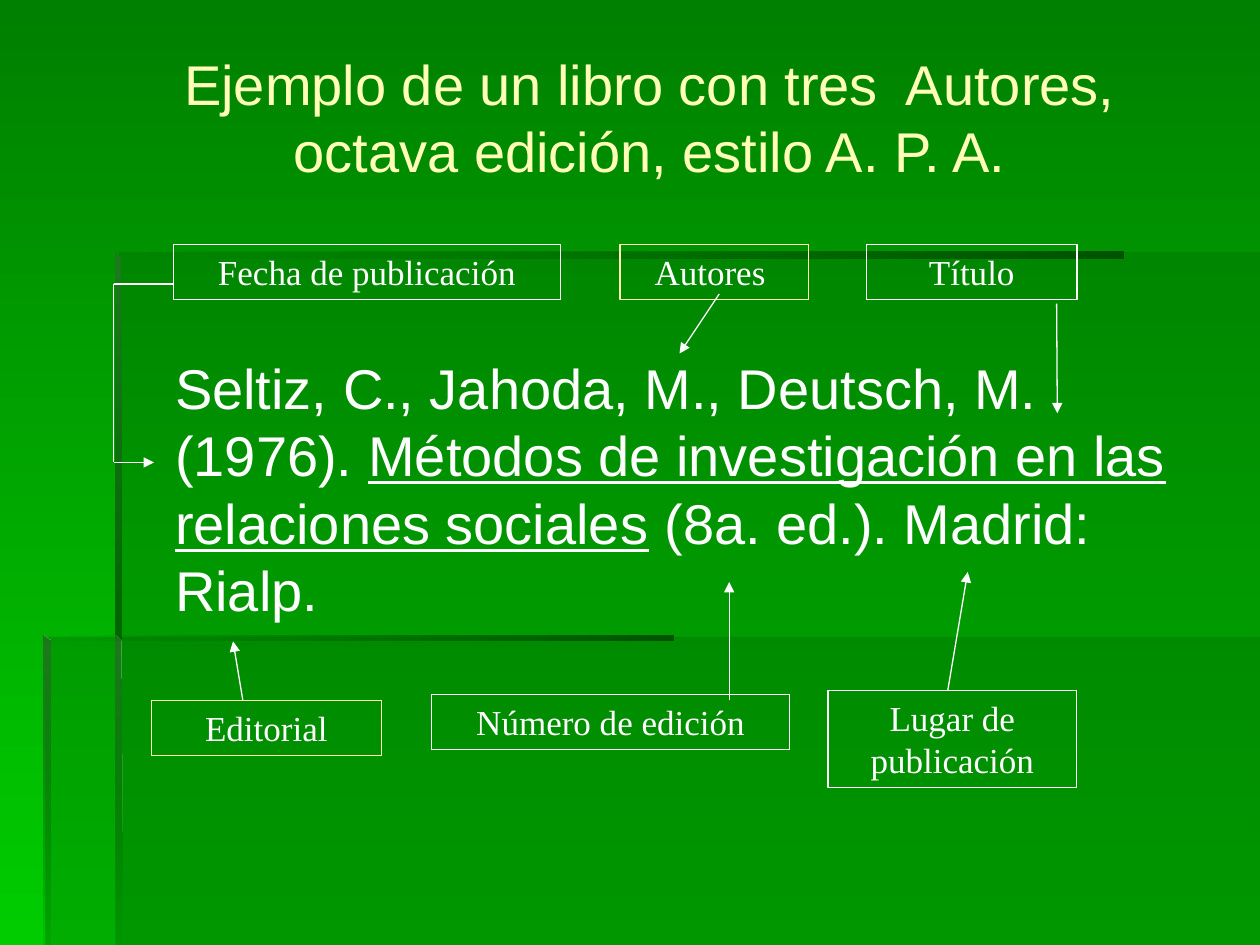
from dataclasses import dataclass

from lxml import etree
from pptx import Presentation
from pptx.dml.color import RGBColor
from pptx.enum import shapes, text
from pptx.oxml import parse_xml
from pptx.oxml.ns import nsdecls, qn
from pptx.util import Pt


@dataclass(frozen=True)
class Theme:
    sans: str = "Arial"
    serif: str = "Times New Roman"
    big: float = 32
    small: float = 20
    gap: float = 1.2  # line pitch of the large text
    white: str = "FFFFFF"
    cream: str = "FFFFB7"
    sky: tuple = (("008000", 100), ("00CC00", 100))
    veil: tuple = (("006600", 30), ("006600", 30))
    bar: tuple = (("005300", 100), ("006600", 0))
    post: tuple = (("1E781E", 100), ("006600", 100))
    fade: tuple = (("1E781E", 100), ("006600", 0))
    haze: tuple = (("1E781E", 100), ("006600", 10))


T = Theme()
WIDE, HIGH = 720, 540
DOWN, LEFT = 90, 180

TITLE = "Ejemplo de un libro con tres  Autores, octava edición, estilo A. P. A."
CITE = [
    ("Seltiz, C., Jahoda, M., Deutsch, M. (1976). ", False),
    ("Métodos de investigación en las relaciones sociales", True),
    (" (8a. ed.). Madrid: Rialp.", False),
]

# outline points, gradient stops, angle
PANELS = [
    ([(66.24, 363.6), (66.24, HIGH), (WIDE, HIGH), (WIDE, 363.6)], T.veil, DOWN),
    ([(67.68, 364.32), (25.92, 364.32), (25.92, HIGH), (WIDE, HIGH),
      (WIDE, 144), (67.68, 144)], T.veil, DOWN),
    ([(66.24, 144), (66.24, 147.9), (641.9, 147.9), (641.9, 144)], T.bar, LEFT),
    ([(66.24, 144), (66.24, 367.2), (69.7, 367.2), (69.3, 147)], T.post, DOWN),
    ([(65.7, HIGH), (69.7, HIGH), (69.3, 366), (65.7, 362.9)], T.fade, DOWN),
    ([(25.2, 362.9), (25.2, 366.5), (385.2, 366.5), (385.2, 362.9)], T.bar, LEFT),
    ([(25.2, 362.9), (25.2, HIGH), (28.8, HIGH), (28.8, 366.5)], T.haze, DOWN),
]

# label, left, top, width, height, line colour
LABELS = [
    ("Autores ", 354.24, 139.68, 108, 31.5, T.cream),
    ("Título", 495.2, 139.68, 120.24, 31.5, T.white),
    ("Lugar de publicación", 473.2, 394.56, 142, 55.5, T.white),
    ("Editorial", 86.4, 400.32, 131.76, 31.5, T.cream),
    ("Fecha de publicación", 99.2, 139.68, 221, 31.5, T.white),
    ("Número de edición", 246.7, 396.72, 204.4, 31.5, T.white),
]

# start, end, arrowhead
LINES = [
    ((99.2, 162.3), (65, 162.3), False),
    ((65, 162.3), (65, 264.3), False),
    ((65, 264.3), (88, 264.3), True),
    ((411, 168), (388.3, 202), True),
    ((138.8, 400.3), (133.2, 366.5), True),
    ((416.7, 400.3), (416.7, 332.6), True),
    ((541.6, 394.5), (553, 326.9), True),
    ((603.8, 173.5), (604.2, 236.2), True),
]


def grade(spot, stops, angle):
    """Put a gradient in place of the fill element spot."""
    marks = "".join(
        f'<a:gs pos="{pos}"><a:srgbClr val="{tint}">'
        f'<a:alpha val="{clear * 1000}"/></a:srgbClr></a:gs>'
        for pos, (tint, clear) in zip((0, 100000), stops))
    fill = parse_xml(
        f'<a:gradFill {nsdecls("a")} rotWithShape="1"><a:gsLst>{marks}</a:gsLst>'
        f'<a:lin ang="{angle * 60000}" scaled="0"/></a:gradFill>')
    spot.getparent().replace(spot, fill)


def veil(spot, tint, clear):
    """Fill with one see-through colour."""
    fill = parse_xml(
        f'<a:solidFill {nsdecls("a")}><a:srgbClr val="{tint}">'
        f'<a:alpha val="{clear * 1000}"/></a:srgbClr></a:solidFill>')
    spot.getparent().replace(spot, fill)


def write(frame, runs, font, size, tint, align, anchor):
    """Set one paragraph from (words, underlined) runs."""
    frame.word_wrap = True
    frame.auto_size = text.MSO_AUTO_SIZE.NONE
    frame.vertical_anchor = anchor
    frame.margin_left = frame.margin_right = Pt(7.2)
    frame.margin_top = frame.margin_bottom = Pt(3.6)
    para = frame.paragraphs[0]
    para.alignment = align
    para.space_before = Pt(0)
    para.line_spacing = Pt(round(size * T.gap, 1))
    for words, under in runs:
        run = para.add_run()
        run.text = words
        run.font.name = font
        run.font.size = Pt(size)
        run.font.underline = under
        run.font.color.rgb = RGBColor.from_string(tint)


def panel(slide, dots, stops, angle):
    pen = slide.shapes.build_freeform(*dots[0], scale=Pt(1))
    pen.add_line_segments(dots[1:], close=True)
    form = pen.convert_to_shape()
    form.shadow.inherit = False
    form.line.fill.background()
    form.fill.background()
    spot = form.element.spPr.find(qn("a:noFill"))
    if stops is T.veil:
        veil(spot, *stops[0])
    else:
        grade(spot, stops, angle)


def label(slide, words, left, top, width, height, tint):
    box = slide.shapes.add_shape(
        shapes.MSO_SHAPE.RECTANGLE, Pt(left), Pt(top), Pt(width), Pt(height))
    box.shadow.inherit = False
    box.fill.background()
    box.line.color.rgb = RGBColor.from_string(tint)
    box.line.width = Pt(0.75)
    write(box.text_frame, [(words, False)], T.serif, T.small, T.white,
          text.PP_ALIGN.CENTER, text.MSO_ANCHOR.TOP)


def link(slide, start, end, head):
    line = slide.shapes.add_connector(
        shapes.MSO_CONNECTOR.STRAIGHT, *map(Pt, start + end))
    line.line.color.rgb = RGBColor.from_string(T.white)
    line.line.width = Pt(0.75)
    if head:
        etree.SubElement(line.line._get_or_add_ln(), qn("a:tailEnd"), type="triangle")
    etree.SubElement(line.element.spPr, qn("a:effectLst"))


def main():
    deck = Presentation()
    deck.slide_width, deck.slide_height = Pt(WIDE), Pt(HIGH)
    slide = deck.slides.add_slide(deck.slide_layouts[5])
    slide.background.fill.solid()
    grade(slide.element.find(".//" + qn("p:bgPr"))[0], T.sky, DOWN)

    for item in PANELS:
        panel(slide, *item)

    head = slide.shapes.title
    head.left, head.top, head.width, head.height = map(Pt, (59.76, 21.6, 623.5, 90))
    write(head.text_frame, [(TITLE, False)], T.sans, T.big, T.cream,
          text.PP_ALIGN.CENTER, text.MSO_ANCHOR.MIDDLE)

    body = slide.shapes.add_textbox(Pt(93), Pt(198.5), Pt(604), Pt(281))
    write(body.text_frame, CITE, T.sans, T.big, T.white,
          text.PP_ALIGN.LEFT, text.MSO_ANCHOR.TOP)

    for item in LABELS:
        label(slide, *item)
    for item in LINES:
        link(slide, *item)
    deck.save("out.pptx")


if __name__ == "__main__":
    main()
